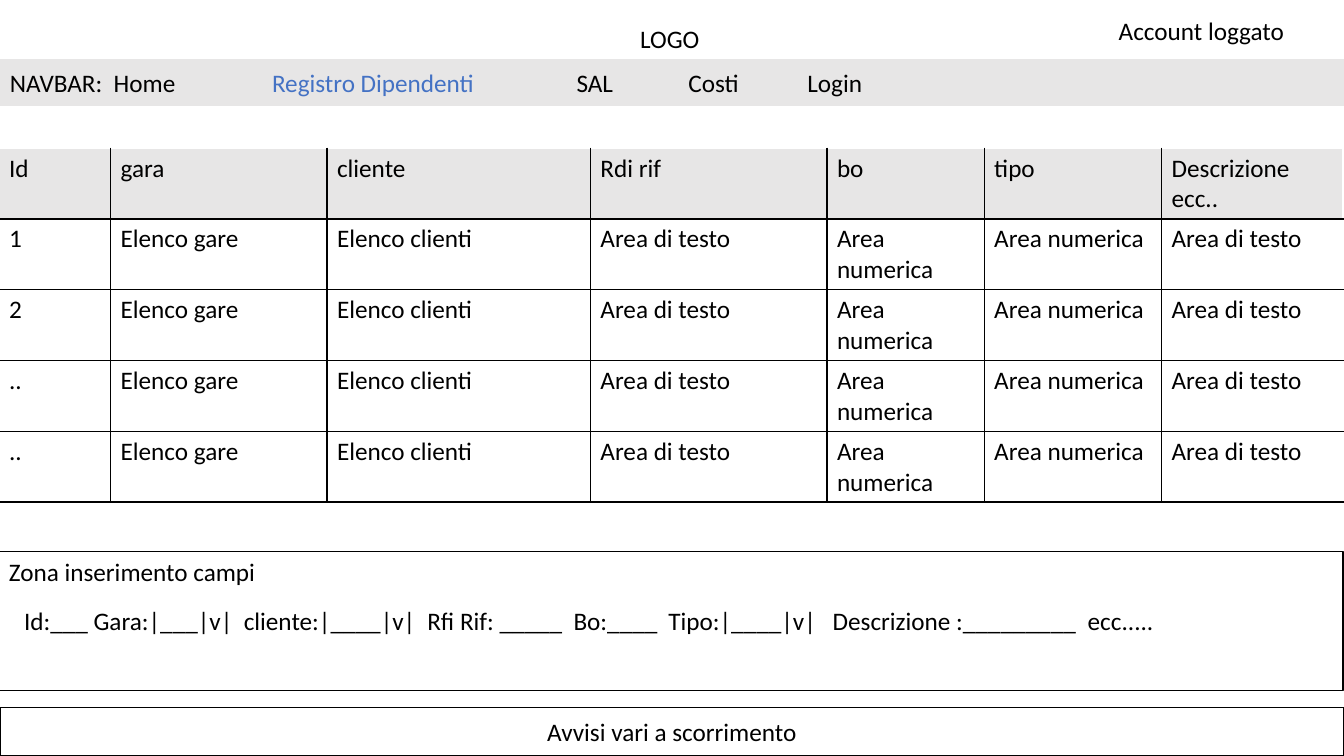
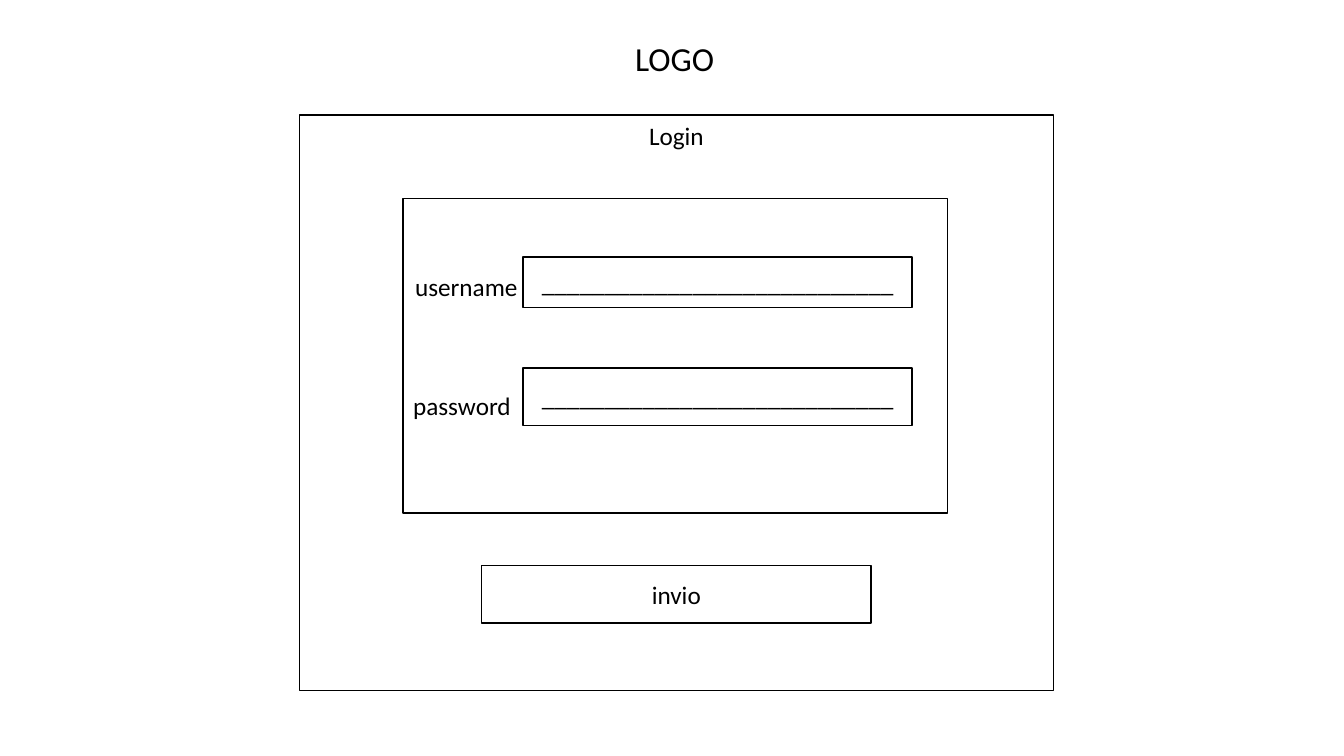
from dataclasses import dataclass
from typing import NamedTuple, Optional

from lxml.etree import SubElement
from pptx import Presentation
from pptx.dml.color import RGBColor
from pptx.enum.shapes import MSO_SHAPE as Preset
from pptx.enum.text import MSO_ANCHOR as Anchor, MSO_AUTO_SIZE as AutoSize, PP_ALIGN as Align
from pptx.oxml.ns import qn
from pptx.util import Emu, Inches, Pt


@dataclass(frozen=True)
class Theme:
    font: str = "Calibri"
    ink: RGBColor = RGBColor(0x00, 0x00, 0x00)
    paper: RGBColor = RGBColor(0xFF, 0xFF, 0xFF)
    band: RGBColor = RGBColor(0xE7, 0xE6, 0xE6)
    accent: RGBColor = RGBColor(0x44, 0x72, 0xC4)
    body: int = 18
    heading: int = 24
    stroke: Pt = Pt(1)


THEME = Theme()
SLIDE_WIDTH, SLIDE_HEIGHT = Inches(13.33), Inches(7.5)


def across(percent: float) -> Emu:
    return Emu(round(SLIDE_WIDTH * percent / 100))


def down(percent: float) -> Emu:
    return Emu(round(SLIDE_HEIGHT * percent / 100))


class Area(NamedTuple):
    """Percentages of the slide's width and height."""
    left: float
    top: float
    width: float
    height: float

    def emu(self) -> tuple:
        return across(self.left), down(self.top), across(self.width), down(self.height)


class Words(NamedTuple):
    text: str
    color: RGBColor = THEME.ink


@dataclass(frozen=True)
class Panel:
    area: Area
    words: tuple = ()
    fill: RGBColor = THEME.paper
    line: RGBColor = THEME.ink
    align: Align = Align.CENTER
    anchor: Anchor = Anchor.MIDDLE
    tabs: tuple = ()


@dataclass(frozen=True)
class Label:
    area: Area
    words: tuple
    tabs: tuple = ()


def write(frame, words: tuple, size: int = THEME.body, align: Align = Align.LEFT,
          anchor: Anchor = Anchor.TOP, tabs: tuple = ()) -> None:
    frame.word_wrap = True
    frame.vertical_anchor = anchor
    paragraph = frame.paragraphs[0]
    paragraph.alignment = align
    if tabs:
        stops = SubElement(paragraph._p.get_or_add_pPr(), qn("a:tabLst"))
        for stop in tabs:
            SubElement(stops, qn("a:tab"), pos=str(Inches(stop)), algn="l")
    for part in words:
        run = paragraph.add_run()
        run.text = part.text
        run.font.name = THEME.font
        run.font.size = Pt(size)
        run.font.color.rgb = part.color


def draw_panel(shapes, panel: Panel) -> None:
    box = shapes.add_shape(Preset.RECTANGLE, *panel.area.emu())
    box.shadow.inherit = False
    box.fill.solid()
    box.fill.fore_color.rgb = panel.fill
    box.line.color.rgb = panel.line
    box.line.width = THEME.stroke
    if panel.words:
        write(box.text_frame, panel.words, align=panel.align,
              anchor=panel.anchor, tabs=panel.tabs)


def draw_label(shapes, label: Label) -> None:
    box = shapes.add_textbox(*label.area.emu())
    write(box.text_frame, label.words, tabs=label.tabs)


def add_page(deck, title_area: Area, title_size: int):
    page = deck.slides.add_slide(deck.slide_layouts[5])
    title = page.shapes.title
    title.left, title.top, title.width, title.height = title_area.emu()
    title.text_frame.auto_size = AutoSize.NONE
    write(title.text_frame, (Words("LOGO"),), title_size)
    return page.shapes


def rule_cell(cell, sides: str) -> None:
    properties = cell._tc.get_or_add_tcPr()
    for side in sides:
        edge = SubElement(properties, qn(f"a:ln{side}"), w=str(THEME.stroke))
        fill = SubElement(edge, qn("a:solidFill"))
        SubElement(fill, qn("a:srgbClr"), val=str(THEME.ink))


def draw_register(shapes, area: Area, shares: tuple, records: list) -> None:
    table = shapes.add_table(len(records), len(shares), *area.emu()).table
    table.first_row = table.horz_banding = False
    for column, share in zip(table.columns, shares):
        column.width = across(share)
    last = len(shares) - 1
    for r, record in enumerate(records):
        table.rows[r].height = down(area.height / len(records))
        for c, text in enumerate(record):
            cell = table.cell(r, c)
            rule_cell(cell, "L" * (c > 0) + "R" * (c < last) + "T" * (r > 0) + "B")
            if r == 0:
                cell.fill.solid()
                cell.fill.fore_color.rgb = THEME.band
            else:
                cell.fill.background()
            write(cell.text_frame, (Words(text),))


def build_register(deck) -> None:
    shapes = add_page(deck, Area(46.88, 2.4, 6.15, 5.33), THEME.body)
    draw_panel(shapes, Panel(
        Area(0, 7.87, 100, 6.13),
        (Words("NAVBAR:\tHome\t"), Words("Registro Dipendenti", THEME.accent),
         Words("\tSAL\tCosti\tLogin")),
        fill=THEME.band, line=THEME.band, align=Align.LEFT,
        tabs=(1.03, 2.6, 5.62, 6.73, 7.91)))
    draw_label(shapes, Label(Area(82.5, 1.33, 17.5, 5.33), (Words("Account loggato"),)))

    header = ("Id", "gara", "cliente", "Rdi rif", "bo", "tipo", "Descrizione ecc..")
    inputs = ("Elenco gare", "Elenco clienti", "Area di testo",
              "Area numerica", "Area numerica", "Area di testo")
    records = [header] + [(number, *inputs) for number in ("1", "2", "..", "..")]
    draw_register(shapes, Area(-0.07, 19.6, 100, 46.8),
                  (8.3, 16.1, 19.6, 17.6, 11.7, 13.2, 13.5), records)

    draw_panel(shapes, Panel(Area(0, 93.6, 100, 6.4),
                             (Words("Avvisi vari a scorrimento"),)))
    entry = shapes.add_group_shape().shapes
    draw_panel(entry, Panel(Area(-0.07, 72.93, 100, 18.4),
                            (Words("Zona inserimento campi"),),
                            align=Align.LEFT, anchor=Anchor.TOP))
    fields = ("Id:___ Gara:|___|v|", "cliente:|____|v|", "Rfi Rif: _____", "Bo:____",
              "Tipo:|____|v|", "Descrizione :_________", "ecc.....")
    draw_label(entry, Label(Area(1.05, 79.47, 97.95, 5.33), (Words("\t".join(fields)),),
                            tabs=(2.18, 4, 5.45, 6.39, 8.02, 10.55)))


def build_login(deck) -> None:
    shapes = add_page(deck, Area(46.5, 4.4, 10.28, 6.67), THEME.heading)
    blank = (Words("_" * 28),)
    panels = (
        Panel(Area(22.28, 15.2, 56.1, 76.13), (Words("Login"),), anchor=Anchor.TOP),
        Panel(Area(35.85, 74.8, 28.95, 7.6), (Words("invio"),)),
        Panel(Area(30, 26.27, 40.5, 41.6)),
        Panel(Area(38.92, 34, 28.95, 6.67), blank),
        Panel(Area(38.92, 48.67, 28.95, 7.6), blank),
    )
    labels = (
        Label(Area(30.15, 35.2, 9.6, 5.33), (Words("username"),)),
        Label(Area(30, 50.93, 9.75, 5.33), (Words("password"),)),
    )
    for panel in panels:
        draw_panel(shapes, panel)
    for label in labels:
        draw_label(shapes, label)


def main() -> None:
    deck = Presentation()
    deck.slide_width, deck.slide_height = SLIDE_WIDTH, SLIDE_HEIGHT
    build_register(deck)
    build_login(deck)
    deck.save("out.pptx")


if __name__ == "__main__":
    main()
